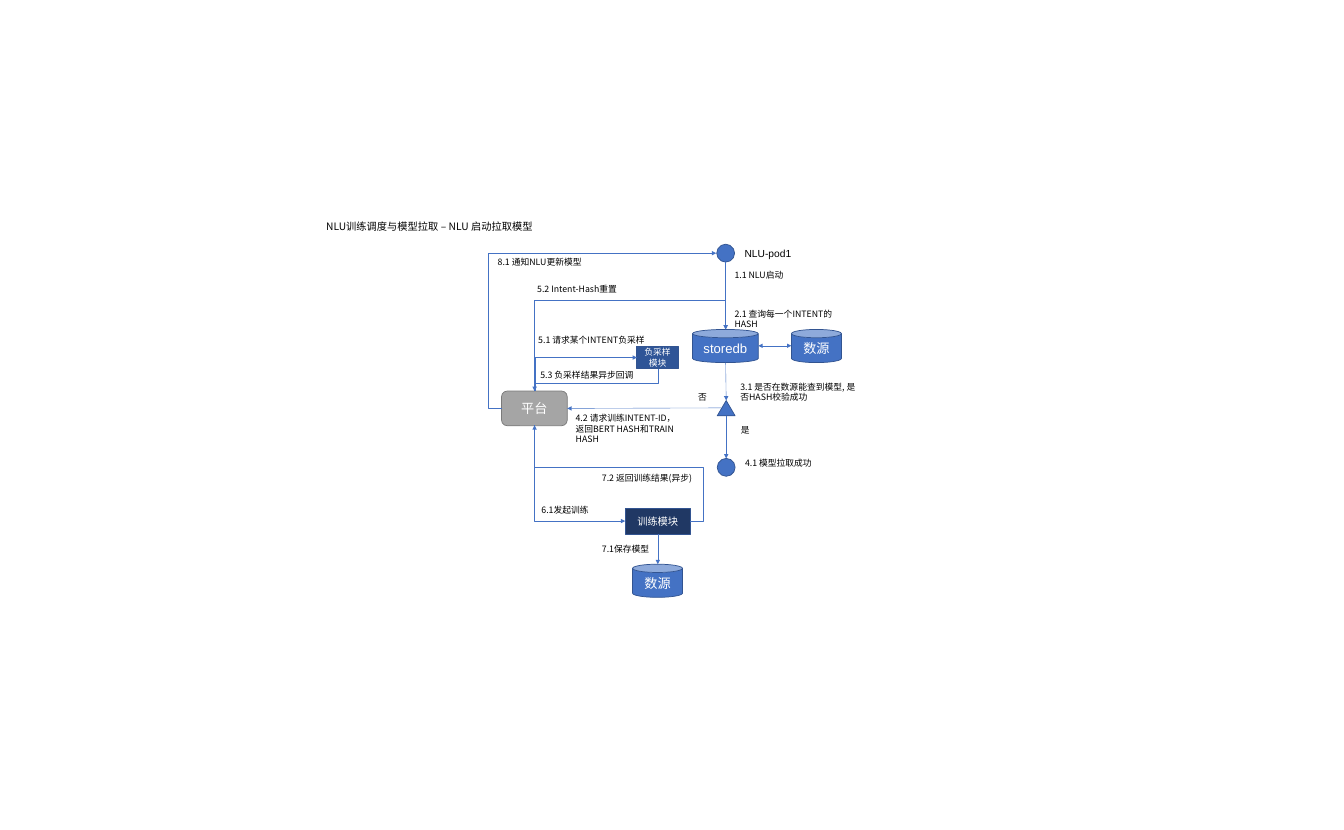
"""Builds the flow of NLU training and model pulling on one slide."""
from lxml import etree
from pptx import Presentation
from pptx.dml.color import RGBColor
from pptx.enum.shapes import MSO_CONNECTOR, MSO_SHAPE
from pptx.enum.text import MSO_ANCHOR, MSO_AUTO_SIZE, PP_ALIGN
from pptx.oxml.ns import qn
from pptx.util import Pt

PX = 9144
STRAIGHT, ELBOW = MSO_CONNECTOR.STRAIGHT, MSO_CONNECTOR.ELBOW
OVAL, CAN, RECT = MSO_SHAPE.OVAL, MSO_SHAPE.CAN, MSO_SHAPE.RECTANGLE
ROUND, TRIANGLE = MSO_SHAPE.ROUNDED_RECTANGLE, MSO_SHAPE.ISOSCELES_TRIANGLE
MIDDLE, CENTER = MSO_ANCHOR.MIDDLE, PP_ALIGN.CENTER
GROW = MSO_AUTO_SIZE.SHAPE_TO_FIT_TEXT
CJK = "Noto Sans CJK SC"
BLUE, EDGE = "4472C4", "325491"
rgb = RGBColor.from_string

deck = Presentation()
deck.slide_width, deck.slide_height = 2554 * PX, 1577 * PX
slide = deck.slides.add_slide(deck.slide_layouts[6])
shapes = slide.shapes


def write(frame, text, size, font, color):
    """Fill a text frame and format all its runs."""
    frame.word_wrap = True
    frame.text = text
    for para in frame.paragraphs:
        for run in para.runs:
            run.font.size = Pt(size)
            run.font.color.rgb = rgb(color)
            run.font.name = font
            east = etree.SubElement(run.font._element, qn("a:ea"))
            east.set("typeface", CJK)


def style(wire, heads):
    """Give a connector its line, arrowheads and flat look."""
    wire.line.color.rgb = rgb(BLUE)
    wire.line.width = Pt(0.5)
    line = wire.line._get_or_add_ln()
    for head in heads:
        etree.SubElement(line, qn("a:" + head)).set("type", "triangle")
    etree.SubElement(wire._element.spPr, qn("a:effectLst"))


nodes = {}
for name, kind, x, y, w, h, fill, edge, text, size, font in [
    ("pod", OVAL, 1362, 464, 34, 34, BLUE, EDGE, "", 0, ""),
    ("check", TRIANGLE, 1363, 761, 34, 29, BLUE, EDGE, "", 0, ""),
    ("base", CAN, 1316, 626, 125, 63, BLUE, EDGE, "storedb", 18, "Arial"),
    ("source", CAN, 1504, 626, 95, 63, BLUE, EDGE, "数源", 18, "Arial"),
    ("done", OVAL, 1363, 871, 34, 34, BLUE, EDGE, "", 0, ""),
    ("hub", ROUND, 953, 743, 125, 66, "A5A5A5", "7A7A7A", "平台", 18, "Calibri"),
    ("sample", RECT, 1210, 658, 79, 42, "2F5597", EDGE, "负采样模块", 12, "Arial"),
    ("train", RECT, 1188, 966, 124, 49, "203864", EDGE, "训练模块", 14, CJK),
    ("store", CAN, 1202, 1072, 95, 63, BLUE, EDGE, "数源", 18, "Arial"),
]:
    node = shapes.add_shape(kind, x * PX, y * PX, w * PX, h * PX)
    node.shadow.inherit = False
    node.fill.solid()
    node.fill.fore_color.rgb = rgb(fill)
    node.line.color.rgb = rgb(edge)
    node.line.width = Pt(1)
    if text:
        write(node.text_frame, text, size, font, "FFFFFF")
        node.text_frame.vertical_anchor = MIDDLE
        node.text_frame.paragraphs[0].alignment = CENTER
    nodes[name] = node

for x1, y1, x2, y2, heads, start, end in [
    (1379, 498, 1379, 626, ["tailEnd"], None, None),
    (1441, 657, 1504, 657, ["headEnd", "tailEnd"], None, None),
    (1379, 689, 1380, 761, ["tailEnd"], None, None),
    (1380, 790, 1380, 871, ["tailEnd"], None, None),
    (1371, 775, 1079, 776, ["tailEnd"], None, ("hub", 3)),
    (1250, 1015, 1250, 1072, ["tailEnd"], ("train", 2), None),
]:
    wire = shapes.add_connector(STRAIGHT, x1 * PX, y1 * PX, x2 * PX, y2 * PX)
    if start:
        wire.begin_connect(nodes[start[0]], start[1])
    if end:
        wire.end_connect(nodes[end[0]], end[1])
    style(wire, heads)

for start, out, end, into, x, y, w, h, turn, flip, bends, adjs in [
    ("hub", 0, "sample", 1, 1082, 614, 63, 194, 90, "HV", 2, []),
    ("hub", 0, "base", 1, 1139, 503, 117, 363, 90, "HV", 3, [147000]),
    ("sample", 2, "hub", 0, 1112, 605, 42, 234, 90, "", 3, [65800]),
    ("hub", 2, "train", 1, 1011, 813, 182, 172, 270, "H", 2, []),
    ("train", 3, "hub", 2, 1016, 808, 296, 182, 0, "HV", 4, [-8400, 56700]),
    ("hub", 1, "pod", 2, 953, 481, 408, 295, 180, "H", 3, [-6100]),
]:
    wire = shapes.add_connector(ELBOW, 0, 0, PX, PX)
    wire.begin_connect(nodes[start], out)
    wire.end_connect(nodes[end], into)
    wire.left, wire.top, wire.width, wire.height = x * PX, y * PX, w * PX, h * PX
    frame = wire._element.spPr.find(qn("a:xfrm"))
    frame.set("rot", str(turn * 60000))
    for axis in "HV":
        frame.set("flip" + axis, str(int(axis in flip)))
    shape = wire._element.spPr.find(qn("a:prstGeom"))
    shape.set("prst", f"bentConnector{bends}")
    for i, adj in enumerate(adjs, 1):
        guide = etree.SubElement(shape.find(qn("a:avLst")), qn("a:gd"))
        guide.set("name", f"adj{i}")
        guide.set("fmla", f"val {adj}")
    style(wire, ["tailEnd"])

for x, y, w, h, size, font, text in [
    (610, 413, 429, 34, 14, CJK, "NLU训练调度与模型拉取 – NLU 启动拉取模型"),
    (1405, 464, 135, 34, 14, "Arial", "NLU-pod1"),
    (1386, 507, 132, 30, 12, CJK, "1.1 NLU启动"),
    (1386, 581, 241, 30, 12, CJK, "2.1 查询每一个INTENT的HASH"),
    (1397, 720, 241, 50, 12, CJK, "3.1 是否在数源能查到模型, 是否HASH校验成功"),
    (1398, 802, 43, 30, 12, CJK, "是"),
    (1317, 739, 43, 30, 12, CJK, "否"),
    (1406, 865, 241, 30, 12, CJK, "4.1 模型拉取成功"),
    (1084, 780, 241, 50, 12, CJK, "4.2 请求训练INTENT-ID，\n返回BERT HASH和TRAIN HASH"),
    (1013, 631, 241, 30, 12, CJK, "5.1 请求某个INTENT负采样"),
    (1011, 534, 190, 30, 12, CJK, "5.2 Intent-Hash重置"),
    (1017, 697, 241, 30, 12, CJK, "5.3 负采样结果异步回调"),
    (1019, 954, 121, 30, 12, CJK, "6.1发起训练"),
    (1134, 1028, 121, 30, 12, CJK, "7.1保存模型"),
    (1134, 894, 207, 30, 12, CJK, "7.2 返回训练结果(异步)"),
    (936, 482, 190, 30, 12, CJK, "8.1 通知NLU更新模型"),
]:
    label = shapes.add_textbox(x * PX, y * PX, w * PX, h * PX)
    write(label.text_frame, text, size, font, "000000")
    label.text_frame.auto_size = GROW

deck.save("out.pptx")
